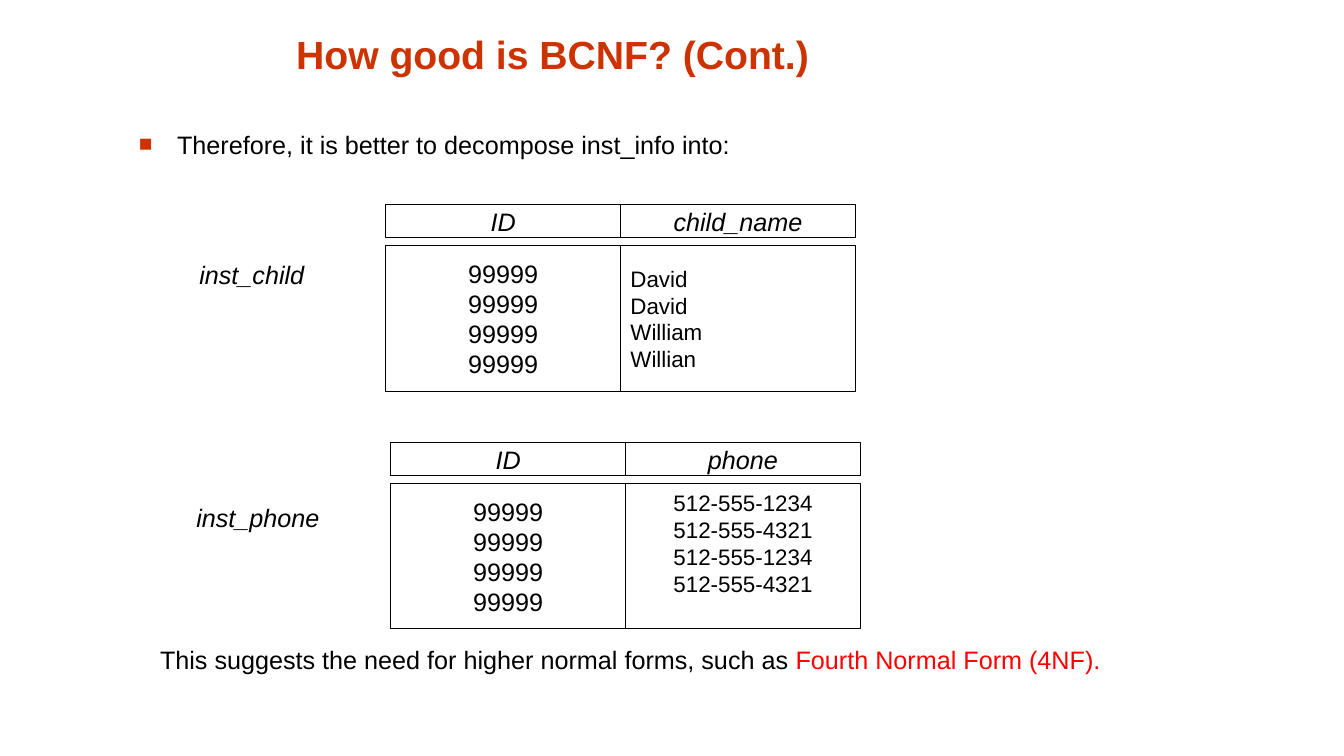
from lxml.etree import SubElement
from pptx import Presentation
from pptx.dml.color import RGBColor
from pptx.enum.shapes import MSO_SHAPE as Shape
from pptx.enum.text import MSO_ANCHOR as Anchor, MSO_AUTO_SIZE as AutoSize, PP_ALIGN as Align
from pptx.oxml.ns import qn
from pptx.util import Inches, Pt

RUST = RGBColor(0xCC, 0x33, 0x00)
RED = RGBColor(0xFF, 0x00, 0x00)
BLACK = RGBColor(0x00, 0x00, 0x00)
WHITE = RGBColor(0xFF, 0xFF, 0xFF)

COLUMN = 2.33
HEADER_HEIGHT, BODY_HEIGHT = 0.33, 1.44
BODY_OFFSET = 0.41
LINE_16PT = 0.26


def add_run(paragraph, text, size=18, color=BLACK, bold=False, italic=False):
    run = paragraph.add_run()
    run.text = text
    run.font.name = "Arial"
    run.font.size = Pt(size)
    run.font.color.rgb = color
    run.font.bold = bold
    run.font.italic = italic


def add_cell(left, top, height, lines, size=18, italic=False, align=Align.CENTER):
    cell = slide.shapes.add_shape(Shape.RECTANGLE, Inches(left), Inches(top),
                                  Inches(COLUMN), Inches(height))
    cell.shadow.inherit = False
    cell.fill.solid()
    cell.fill.fore_color.rgb = WHITE
    cell.line.color.rgb = BLACK
    cell.line.width = Pt(0.75)
    frame = cell.text_frame
    frame.word_wrap = False
    frame.vertical_anchor = Anchor.MIDDLE
    for i, line in enumerate(lines):
        paragraph = frame.add_paragraph() if i else frame.paragraphs[0]
        paragraph.alignment = align
        add_run(paragraph, line, size, italic=italic)
    return frame


prs = Presentation()
prs.slide_width, prs.slide_height = Inches(13.34), Inches(7.5)
slide = prs.slides.add_slide(prs.slide_layouts[5])

# Title
title = slide.shapes.title
title.left, title.top = Inches(1.98), Inches(0.19)
title.width, title.height = Inches(7.01), Inches(0.63)
title.text_frame.auto_size = AutoSize.NONE
title.text_frame.vertical_anchor = Anchor.BOTTOM
heading = title.text_frame.paragraphs[0]
heading.alignment = Align.CENTER
add_run(heading, "How good is BCNF? (Cont.)", 28, RUST, bold=True)

# Bulleted statement
statement = slide.shapes.add_textbox(Inches(1.28), Inches(1.23), Inches(7.35), Inches(0.58))
statement.text_frame.word_wrap = True
bullet = statement.text_frame.paragraphs[0]
props = bullet._p.get_or_add_pPr()
props.set("marL", str(Inches(0.38)))
props.set("indent", str(-Inches(0.38)))
SubElement(SubElement(props, qn("a:buClr")), qn("a:srgbClr")).set("val", str(RUST))
SubElement(props, qn("a:buSzPct")).set("val", "90000")
SubElement(props, qn("a:buFont")).set("typeface", "Arial")
SubElement(props, qn("a:buChar")).set("char", "■")
add_run(bullet, "Therefore, it is better to decompose inst_info into:")

# Relations: name, its position and width, table position, second column
ids = ["99999"] * 4
children = ["David", "David", "William", "Willian"]
phones = ["512-555-1234", "512-555-4321"] * 2
relations = [
    ("inst_child", 1.88, 2.52, 1.24, 3.83, 2.03, "child_name", children, Align.LEFT, 0),
    ("inst_phone", 1.85, 4.93, 1.42, 3.88, 4.39, "phone", phones, Align.CENTER, LINE_16PT),
]
for (name, name_left, name_top, name_width, left, top,
     attribute, values, align, room_below) in relations:
    for column, header in enumerate(["ID", attribute]):
        add_cell(left + column * COLUMN, top, HEADER_HEIGHT, [header], italic=True)
    add_cell(left, top + BODY_OFFSET, BODY_HEIGHT, ids)
    value_frame = add_cell(left + COLUMN, top + BODY_OFFSET, BODY_HEIGHT, values, 16, align=align)
    value_frame.margin_bottom = Inches(0.05 + room_below)

    label = slide.shapes.add_textbox(Inches(name_left), Inches(name_top),
                                     Inches(name_width), Inches(0.4))
    label.text_frame.word_wrap = False
    add_run(label.text_frame.paragraphs[0], name, italic=True)

# Conclusion
conclusion = slide.shapes.add_textbox(Inches(1.49), Inches(6.34), Inches(9.76), Inches(0.58))
conclusion.text_frame.word_wrap = True
closing = conclusion.text_frame.paragraphs[0]
add_run(closing, "This suggests the need for higher normal forms, such as ")
add_run(closing, "Fourth Normal Form (4NF).", color=RED)

prs.save("out.pptx")
